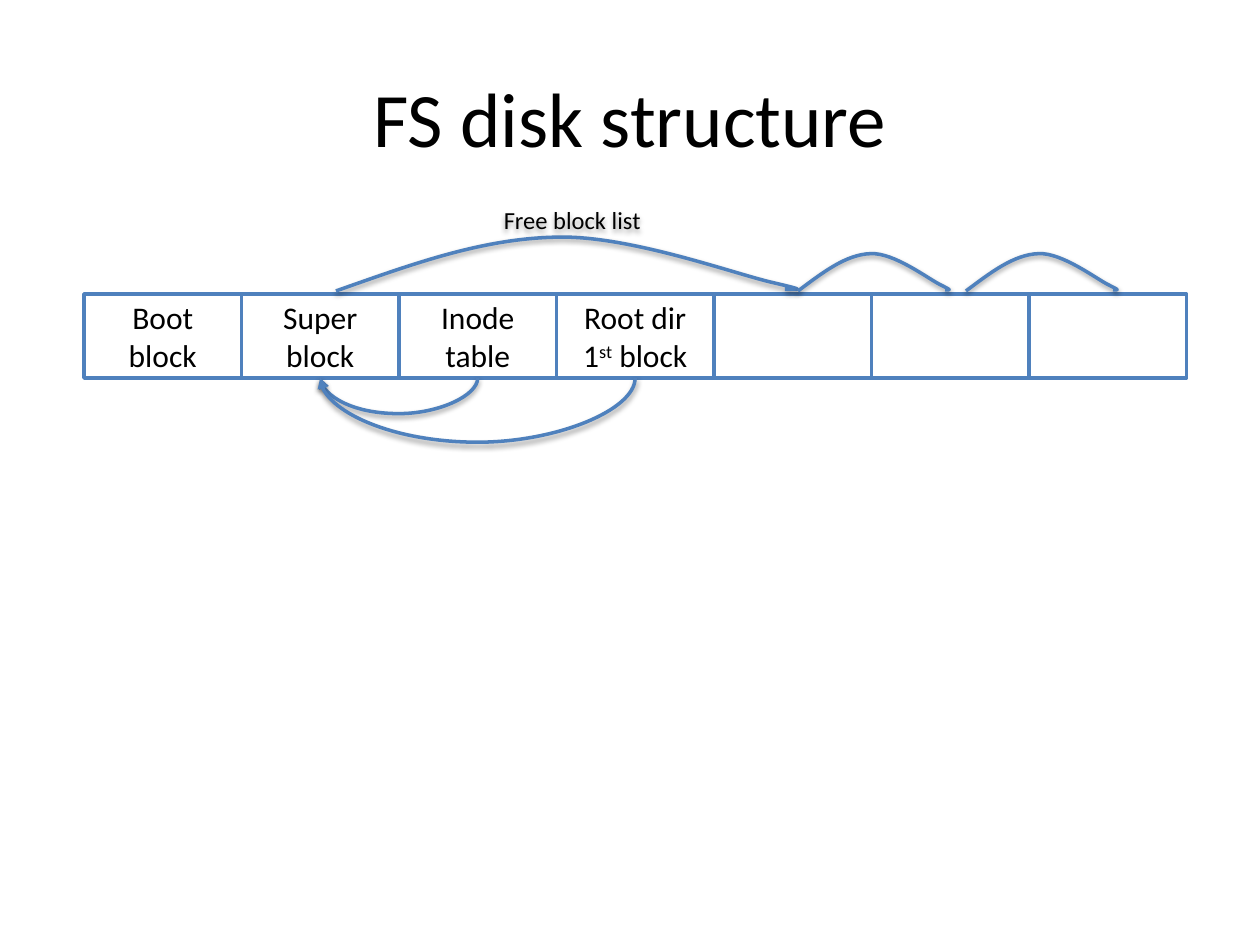
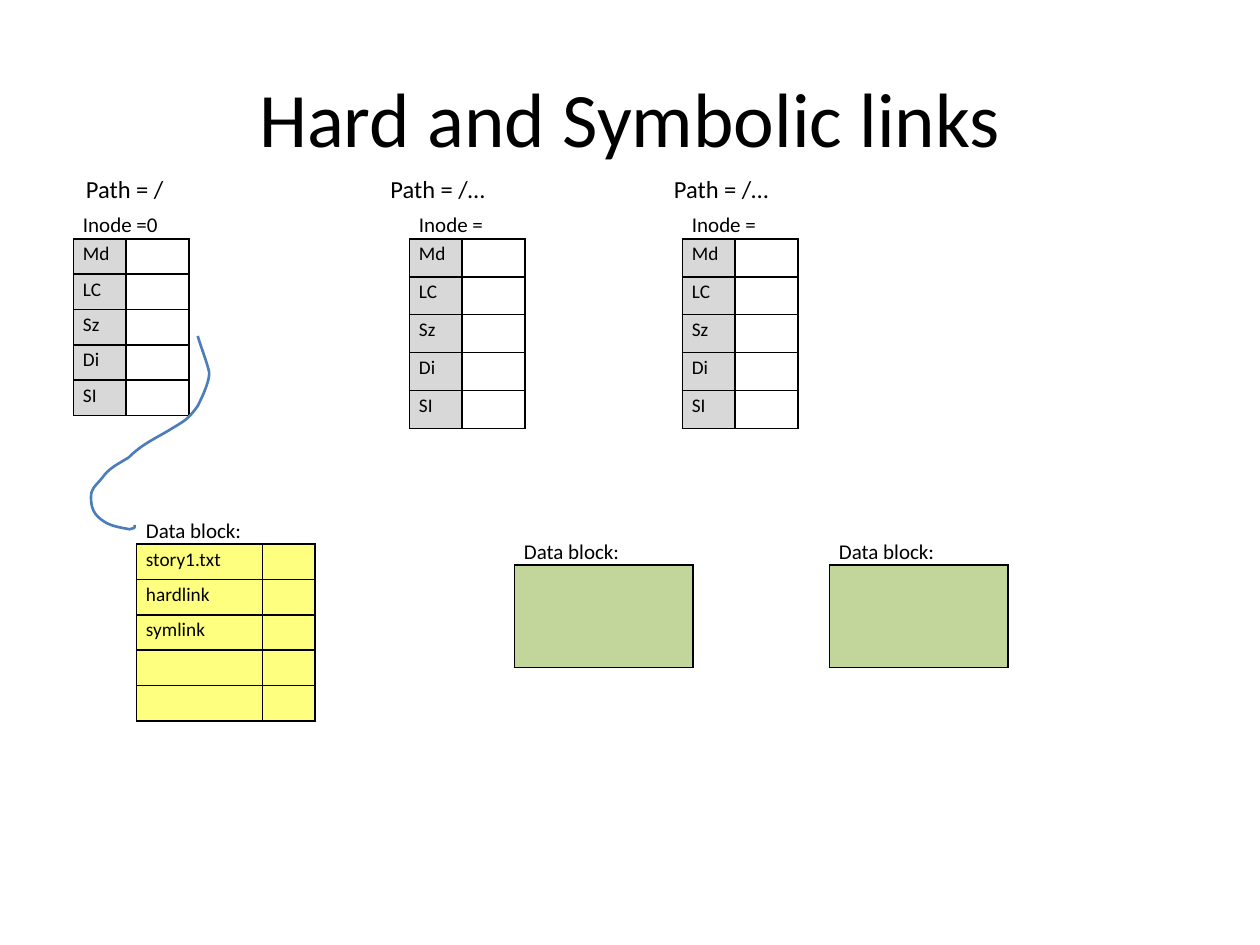
from lxml import etree
from pptx import Presentation
from pptx.dml.color import RGBColor
from pptx.enum.shapes import MSO_CONNECTOR, MSO_SHAPE
from pptx.enum.text import MSO_ANCHOR, PP_ALIGN
from pptx.oxml.ns import qn
from pptx.util import Pt

BLACK = RGBColor(0, 0, 0)
WHITE = RGBColor(0xFF, 0xFF, 0xFF)
BLUE = RGBColor(0x4F, 0x81, 0xBD)
LINK_BLUE = RGBColor(0x4A, 0x7D, 0xBA)
GREY = RGBColor(0xD8, 0xD8, 0xD8)
YELLOW = RGBColor(0xFF, 0xFF, 0)
GREEN = RGBColor(0xC2, 0xD5, 0x9B)
CENTER, LEFT = PP_ALIGN.CENTER, PP_ALIGN.LEFT
MIDDLE, TOP = MSO_ANCHOR.MIDDLE, MSO_ANCHOR.TOP
RECT, CURVE = MSO_SHAPE.RECTANGLE, MSO_CONNECTOR.CURVE
FONT = "Calibri"
PLAIN_TABLE = "{2D5ABB26-0587-4C30-8999-92F81FD0307C}"

# Arc outline as fractions of its box: a start, then three points per curve
ARC = [(0, 1), (.16, .52), (.31, .05), (.47, .03), (.62, 0), (.84, .68),
       (.92, .84), (1, 1), (.98, .97), (.95, .97)]
# Hand-drawn link, in points from its top left corner
LINK = [(61, 0), (63, 7), (66, 14), (67.5, 20.5), (68, 25), (64.5, 33), (61, 40),
        (55, 48.5), (52.5, 49), (44.5, 54), (36, 59), (29, 62), (21.5, 69.5),
        (14, 74), (10, 76), (6.5, 81), (2, 86.5), (0, 87), (0, 92.5),
        (0, 101), (4, 104), (9, 107), (13, 109), (17, 109.5), (22, 110.5),
        (25, 109.5), (25, 110.5), (25, 108)]


def sub(parent, tag, **attrs):
    el = etree.SubElement(parent, qn(tag))
    for name, value in attrs.items():
        el.set(name, str(value))
    return el


def write(p, text, size):
    r = p.add_run()
    r.text = text
    for name, value in {"name": FONT, "size": Pt(size)}.items():
        setattr(r.font, name, value)
    r.font.color.rgb = BLACK
    return r


def add_label(s, box, text, size, align=LEFT, anchor=TOP, wrap=False):
    sp = s.shapes.add_textbox(*map(Pt, box))
    tf = sp.text_frame
    tf.word_wrap, tf.vertical_anchor = wrap, anchor
    p = tf.paragraphs[0]
    p.alignment = align
    write(p, text, size)
    return sp


def add_title(s, text):
    add_label(s, (36, 21.6, 648, 90), text, 44, CENTER, MIDDLE, True)


def set_line(sp, color, width):
    sp.line.color.rgb = color
    sp.line.width = Pt(width)


def drop_shadow(sp):
    effects = sub(sp._element.spPr, "a:effectLst")
    shadow = sub(effects, "a:outerShdw", blurRad=Pt(3.1), dist=Pt(1.6),
                 dir=5400000, rotWithShape=0)
    sub(sub(shadow, "a:srgbClr", val=BLACK), "a:alpha", val=38000)


def add_curve(s, points, color, width):
    """Draw a start point followed by cubic curves of three points each."""
    points = [(Pt(x), Pt(y)) for x, y in points]
    builder = s.shapes.build_freeform(*points[0], scale=1.0)
    builder.add_line_segments(points[1:], close=False)
    sp = builder.convert_to_shape()
    outline = next(sp._element.iter(qn("a:path")))
    steps = outline.findall(qn("a:lnTo"))
    for i in range(0, len(steps), 3):
        bezier = sub(outline, "a:cubicBezTo")
        for step in steps[i:i + 3]:
            bezier.append(step[0])
            outline.remove(step)
    sp.fill.background()
    set_line(sp, color, width)
    return sp


def add_arc(s, x, y, w, h):
    points = [(x + fx * w, y + fy * h) for fx, fy in ARC]
    drop_shadow(add_curve(s, points, BLUE, 2))


def add_block(s, box, runs):
    sp = s.shapes.add_shape(RECT, *map(Pt, box))
    sp.shadow.inherit = False
    sp.fill.solid()
    sp.fill.fore_color.rgb = WHITE
    set_line(sp, BLUE, 2)
    tf = sp.text_frame
    tf.word_wrap, tf.vertical_anchor = True, MIDDLE
    p = tf.paragraphs[0]
    p.alignment = CENTER
    for i, text in enumerate(runs):
        r = write(p, text, 18)
        if i == 1:
            r.font._element.set("baseline", "30000")
    return sp


def add_pointer(s, start, end, depth):
    """Curved arrow that hangs below two blocks, joining their bottom edges."""
    thin = Pt(0.05)
    cn = s.shapes.add_connector(CURVE, 0, 0, 0, 0)
    cn.begin_connect(start, 2)
    cn.end_connect(end, 2)
    span = end.left - start.left
    middle = start.left + (start.width + span) // 2
    place = {"left": middle - thin // 2, "top": start.top + start.height - span // 2,
             "width": thin, "height": span}
    for name, value in place.items():
        setattr(cn, name, value)
    sp_pr = cn._element.spPr
    xfrm = sp_pr.find(qn("a:xfrm"))
    xfrm.set("rot", "16200000")
    xfrm.set("flipH", "1")
    guides = next(sp_pr.iter(qn("a:avLst")))
    sub(guides, "a:gd", name="adj1", fmla=f"val {round(Pt(depth) / thin * 100000)}")
    set_line(cn, BLUE, 2)
    sub(cn.line._get_or_add_ln(), "a:tailEnd", type="triangle")
    drop_shadow(cn)


def add_disk(s, x, y, w, h):
    texts = [["Boot block"], ["Super block"], ["Inode table"],
             ["Root dir 1", "st", " block"], [], [], []]
    step = w / len(texts)
    blocks = [add_block(s, (x + i * step, y, step, h), runs)
              for i, runs in enumerate(texts)]
    arc_bottom = y - 1.7
    for dx, arc_w, arc_h in ((504, 88.5, 22), (144, 270, 31.7), (408, 88.5, 22)):
        add_arc(s, x + dx, arc_bottom - arc_h, arc_w, arc_h)
    drop_shadow(add_label(s, (x + 219, y - 51, 120, 17), "Free block list", 14,
                          CENTER, MIDDLE))
    for target, depth in ((2, 18), (3, 32.4)):
        add_pointer(s, blocks[1], blocks[target], depth)


def fill_cell(cell, text, size, fill=None, alpha=None, border=False):
    for side in ("left", "right", "top", "bottom"):
        setattr(cell, f"margin_{side}", Pt(5.4 if side in ("left", "right") else 0))
    if border:
        for edge in ("a:lnL", "a:lnR", "a:lnT", "a:lnB"):
            ln = sub(cell._tc.get_or_add_tcPr(), edge, w=Pt(1))
            sub(sub(ln, "a:solidFill"), "a:srgbClr", val=BLACK)
    if fill is None:
        cell.fill.background()
    else:
        cell.fill.solid()
        cell.fill.fore_color.rgb = fill
        if alpha:
            color = next(cell._tc.tcPr.find(qn("a:solidFill")).iter(qn("a:srgbClr")))
            sub(color, "a:alpha", val=alpha * 1000)
    p = cell.text_frame.paragraphs[0]
    p.line_spacing = 1.15
    if text:
        write(p, text, size)
    else:
        p._p.get_or_add_endParaRPr().set("sz", str(size * 100))


def add_captioned_table(s, x, y, caption, rows, widths, row_h, fills, alpha=None):
    """Bordered grid under a borderless caption row; fills has one entry a column."""
    n = len(rows)
    tbl = s.shapes.add_table(n + 1, len(widths), Pt(x), Pt(y), Pt(sum(widths)),
                             Pt(17 + n * row_h)).table
    tbl._tbl.tblPr.find(qn("a:tableStyleId")).text = PLAIN_TABLE
    tbl.first_row = tbl.horz_banding = False
    for col, width in zip(tbl.columns, widths):
        col.width = Pt(width)
    for i, row in enumerate(tbl.rows):
        row.height = Pt(row_h if i else 17)
    if len(widths) > 1:
        tbl.cell(0, 0).merge(tbl.cell(0, len(widths) - 1))
    fill_cell(tbl.cell(0, 0), caption, 12)
    for i, text in enumerate(rows, 1):
        for j, fill in enumerate(fills):
            fill_cell(tbl.cell(i, j), "" if j else text, 11, fill, alpha, True)


def add_inode(s, x, y, caption, row_h):
    add_captioned_table(s, x, y, caption, ["Md", "LC", "Sz", "Di", "SI"],
                        (30, 36), row_h, (GREY, None))


def add_directory_block(s, x, y):
    add_captioned_table(s, x, y, "Data block:", ["story1.txt", "hardlink", "symlink", "", ""],
                        (72, 30), 20.2, (YELLOW, YELLOW), 50)


def add_file_block(s, x, y):
    add_captioned_table(s, x, y, "Data block:", [""], (102,), 58.6, (GREEN,))


def add_link(s, x, y):
    add_curve(s, [(x + dx, y + dy) for dx, dy in LINK], LINK_BLUE, 1.5).shadow.inherit = False


def disk_slide(s):
    add_title(s, "FS disk structure")
    add_disk(s, 48, 168, 630, 48)


def links_slide(s):
    add_title(s, "Hard and Symbolic links")
    for path_x, width, path_text, x, caption, row_h in (
            (42, 59, "Path = /", 42, "Inode =0", 20.2),
            (216, 70, "Path = /…", 234, "Inode =", 21.7),
            (378, 70, "Path = /…", 390, "Inode =", 21.7)):
        add_label(s, (path_x, 96, width, 24.2), path_text, 14)
        add_inode(s, x, 119.5, caption, row_h)
    add_directory_block(s, 78, 294)
    add_link(s, 52, 192)
    for x in (294, 474):
        add_file_block(s, x, 306)


def main():
    prs = Presentation()
    prs.slide_width, prs.slide_height = Pt(720), Pt(540)
    for build in (disk_slide, links_slide):
        build(prs.slides.add_slide(prs.slide_layouts[6]))
    prs.save("out.pptx")


if __name__ == "__main__":
    main()
